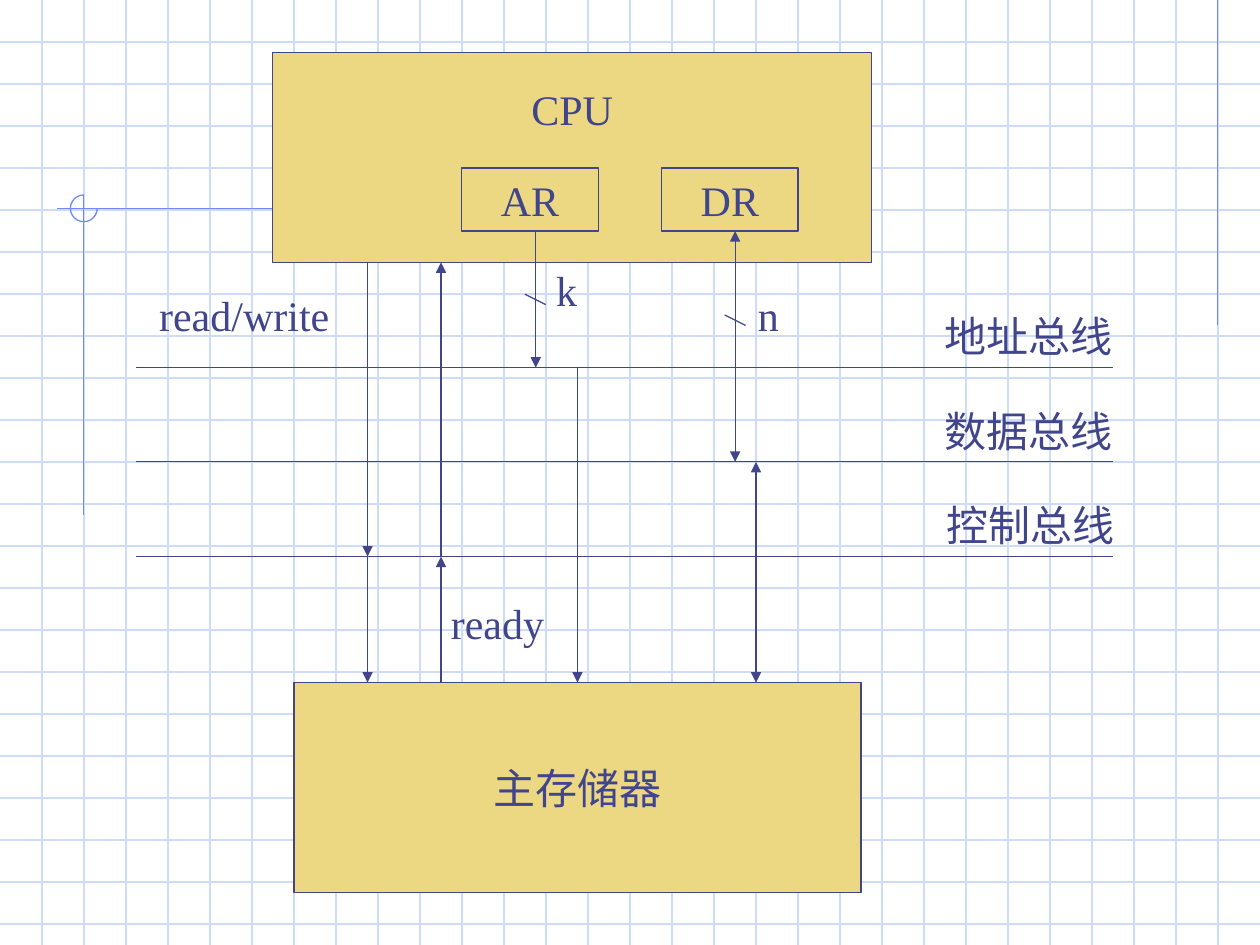
"""Build a slide showing a CPU linked to main memory by three buses."""
from lxml import etree
from pptx import Presentation
from pptx.dml.color import RGBColor
from pptx.enum.shapes import MSO_CONNECTOR, MSO_SHAPE
from pptx.enum.text import MSO_ANCHOR, PP_ALIGN
from pptx.oxml.ns import qn
from pptx.util import Cm, Pt

STRAIGHT = MSO_CONNECTOR.STRAIGHT
RECT, ARC = MSO_SHAPE.RECTANGLE, MSO_SHAPE.ARC
MIDDLE, CENTER = MSO_ANCHOR.MIDDLE, PP_ALIGN.CENTER
INK = RGBColor(0x40, 0x45, 0x8C)
SAND = RGBColor(0xEC, 0xD8, 0x82)
GRID = RGBColor(0xCF, 0xDB, 0xFD)
ACCENT = RGBColor(0x6F, 0x89, 0xF7)
FONT = "Times New Roman"

WIDTH, HEIGHT = 25.4, 19.05
COLUMNS = 30
CELL = WIDTH / COLUMNS
ROWS = int(HEIGHT / CELL)

CPU_BOTTOM, REGISTER_BOTTOM, MEMORY_TOP = 5.29, 4.66, 13.76
ADDRESS, DATA, CONTROL = 7.41, 9.31, 11.22
BUS_LEFT, BUS_RIGHT = 2.75, 22.44

ACCENT_LINES = [
    (24.55, 0, 24.55, 6.55),
    (6.1, 4.21, 1.15, 4.21),
    (1.69, 3.93, 1.69, 10.39),
]
BOXES = [
    ("CPU", 5.5, 1.06, 12.07, 4.23, 2.08),
    ("主存储器", 5.93, MEMORY_TOP, 11.43, 4.23, 0.13),
    ("AR", 9.31, 3.39, 2.75, 1.27, 0.13),
    ("DR", 13.34, 3.39, 2.75, 1.27, 0.13),
]
ARROWS = [
    (10.8, REGISTER_BOTTOM, ADDRESS, False),
    (14.82, REGISTER_BOTTOM, DATA, True),
    (11.64, ADDRESS, MEMORY_TOP, False),
    (15.24, DATA, MEMORY_TOP, True),
    (7.41, CPU_BOTTOM, CONTROL, False),
    (7.41, CONTROL, MEMORY_TOP, False),
    (8.89, MEMORY_TOP, CONTROL, False),
    (8.89, CONTROL, CPU_BOTTOM, False),
]
WIDTH_MARKS = [(10.58, 5.93), (14.61, 6.35)]
LABELS = [
    ("地址总线", 18.8, 6.14, 5.33),
    ("数据总线", 18.8, 8.04, 5.33),
    ("控制总线", 18.84, 9.95, 5.33),
    ("ready", 8.84, 11.92, 2.6),
    ("read/write", 2.96, 5.72, 4.23),
    ("k", 10.96, 5.21, 1.32),
    ("n", 15.03, 5.72, 1.32),
]


def add_line(shapes, x1, y1, x2, y2, color, ends=()):
    line = shapes.add_connector(STRAIGHT, Cm(x1), Cm(y1), Cm(x2), Cm(y2))
    line.line.color.rgb = color
    line.line.width = Pt(0.75)
    sp_pr = line._element.spPr
    for end in ends:
        etree.SubElement(sp_pr.find(qn("a:ln")), qn("a:" + end), type="triangle")
    etree.SubElement(sp_pr, qn("a:effectLst"))


def set_text(tf, text):
    tf.text = text
    font = tf.paragraphs[0].runs[0].font
    font.name, font.size = FONT, Pt(24)
    font.color.rgb = INK


def add_box(shapes, text, x, y, w, h, bottom):
    sp = shapes.add_shape(RECT, Cm(x), Cm(y), Cm(w), Cm(h))
    sp.shadow.inherit = False
    sp.fill.solid()
    sp.fill.fore_color.rgb = SAND
    sp.line.color.rgb = INK
    sp.line.width = Pt(0.75)
    tf = sp.text_frame
    set_text(tf, text)
    tf.word_wrap = False
    tf.vertical_anchor = MIDDLE
    tf.margin_bottom = Cm(bottom)
    tf.paragraphs[0].alignment = CENTER


def add_label(shapes, text, x, y, w):
    tf = shapes.add_textbox(Cm(x), Cm(y), Cm(w), Cm(1.27)).text_frame
    tf.word_wrap = True
    set_text(tf, text)


def add_background(shapes):
    for row in range(1, ROWS + 1):
        add_line(shapes, 0, row * CELL, WIDTH, row * CELL, GRID)
    for column in range(1, COLUMNS):
        add_line(shapes, column * CELL, 0, column * CELL, HEIGHT, GRID)
    for ends in ACCENT_LINES:
        add_line(shapes, *ends, ACCENT)
    arc = shapes.add_shape(ARC, Cm(1.42), Cm(3.93), Cm(0.54), Cm(0.54))
    arc.shadow.inherit = False
    arc.adjustments[0], arc.adjustments[1] = 0, 162
    arc.fill.background()
    arc.line.color.rgb = ACCENT
    arc.line.width = Pt(0.75)


def main():
    prs = Presentation()
    prs.slide_width, prs.slide_height = Cm(WIDTH), Cm(HEIGHT)
    s = prs.slides.add_slide(prs.slide_layouts[6])
    shapes = s.shapes
    add_background(shapes)
    for box in BOXES:
        add_box(shapes, *box)
    for y in (ADDRESS, DATA, CONTROL):
        add_line(shapes, BUS_LEFT, y, BUS_RIGHT, y, INK)
    for x, start, end, both in ARROWS:
        heads = ("headEnd", "tailEnd") if both else ("tailEnd",)
        add_line(shapes, x, start, x, end, INK, heads)
    for x, y in WIDTH_MARKS:
        add_line(shapes, x, y, x + 0.42, y + 0.21, INK)
    for label in LABELS:
        add_label(shapes, *label)
    prs.save("out.pptx")


if __name__ == "__main__":
    main()
